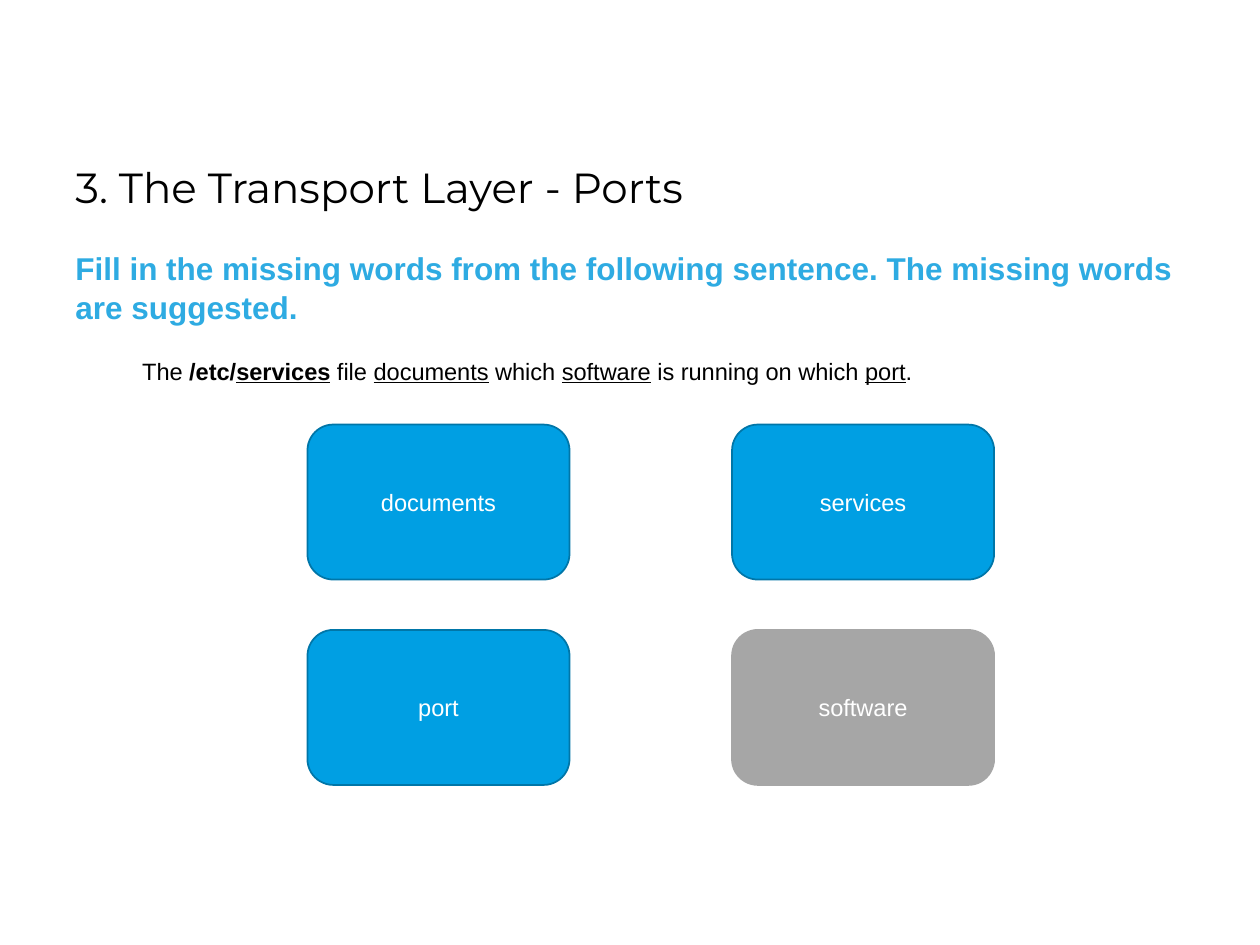
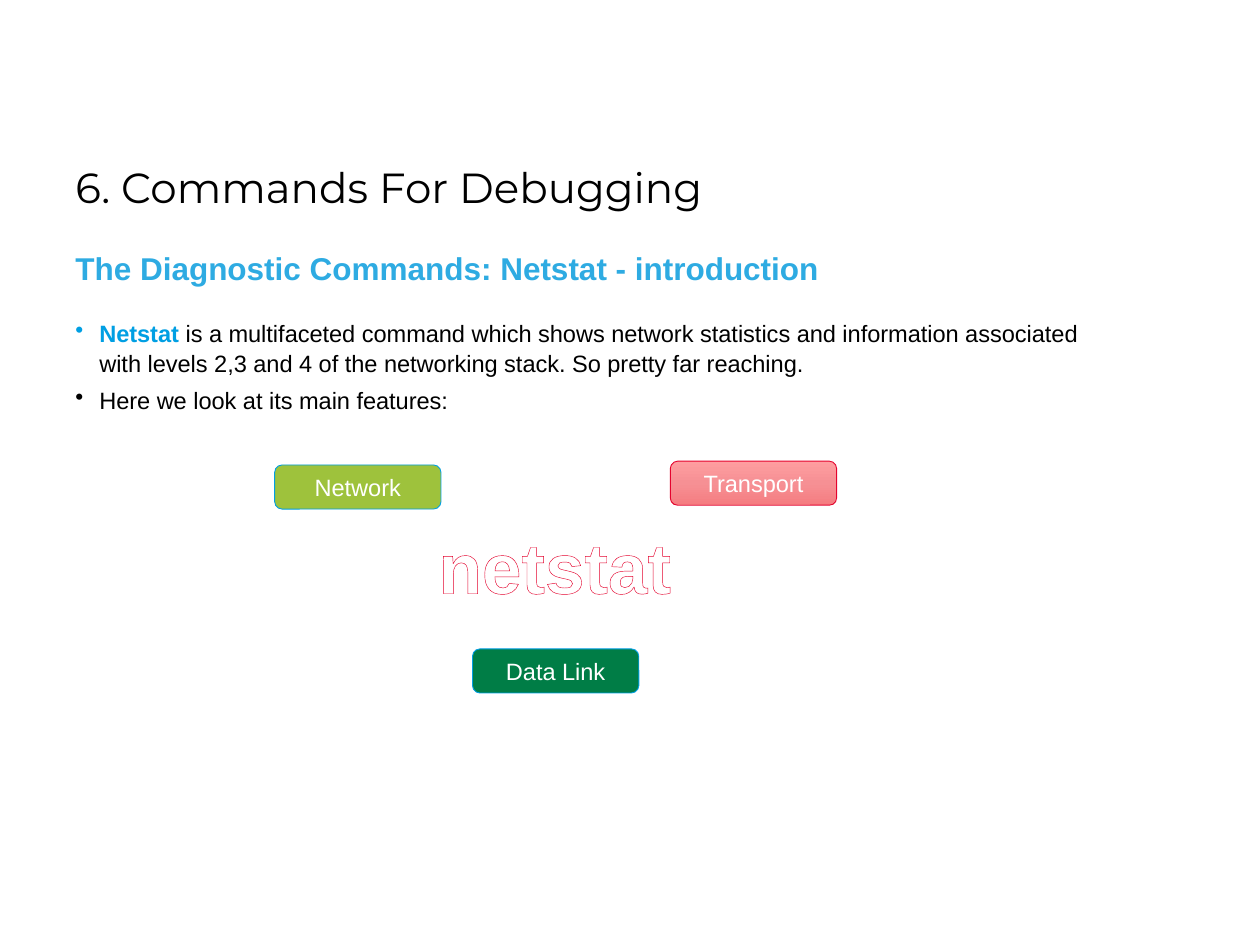
from copy import deepcopy
from dataclasses import dataclass

from lxml import etree
from pptx import Presentation
from pptx import util as u
from pptx.dml.color import RGBColor
from pptx.enum import shapes, text
from pptx.oxml.ns import qn

# Slide grid: 100 columns by 75 rows
WIDTH, HEIGHT = u.Inches(10), u.Inches(7.5)
COLUMN, ROW = WIDTH / 100, HEIGHT / 75

COLORS = {
    "ink": "000000", "white": "FFFFFF", "heading": "2EABE2",
    "blue": "009FE3", "blue edge": "0076A8", "grey": "A6A6A6",
    "lime": "9EC23C", "green": "007D46", "red": "E4032E",
    "rose light": "FE9DA0", "rose": "F69094", "rose dark": "F57C80",
}
BODY_FONT, TITLE_FONT = "Arial", "Montserrat"
BODY_SIZE = 13.5
TIGHT_INSETS = (0.7, 0.4)


@dataclass(frozen=True)
class Area:
    left: float
    top: float
    width: float
    height: float

    def lengths(self) -> tuple[int, ...]:
        return (round(self.left * COLUMN), round(self.top * ROW),
                round(self.width * COLUMN), round(self.height * ROW))


@dataclass(frozen=True)
class Run:
    words: str
    bold: bool = False
    underline: bool = False
    color: str = "ink"


@dataclass(frozen=True)
class Tile:
    label: str
    area: Area
    fills: tuple[str, ...]
    edge: str
    edge_width: float = 1
    insets: tuple[float, float] = (1, 0.5)


TITLE_AREA = Area(5, 12.3, 90.2, 5)


def rgb(name: str) -> RGBColor:
    return RGBColor.from_string(COLORS[name])


def add_bullet(paragraph) -> None:
    properties = paragraph._p.get_or_add_pPr()
    indent = u.Inches(0.19)
    properties.set("marL", str(indent))
    properties.set("indent", str(-indent))
    etree.SubElement(properties, qn("a:buChar"), char="•")


def outline_text(run, color: str, width: float) -> None:
    line = etree.Element(qn("a:ln"), w=str(u.Pt(width)))
    fill = etree.SubElement(line, qn("a:solidFill"))
    etree.SubElement(fill, qn("a:srgbClr"), val=COLORS[color])
    run._r.get_or_add_rPr().insert(0, line)


def write(shape, paragraphs: list[list[Run]], *, size: float = BODY_SIZE,
          font: str = BODY_FONT, centred: bool = False, middle: bool = False,
          wrap: bool = True, bullets: bool = False, spacing: float = 1,
          space_after: float = 0, insets: tuple[float, float] = (1, 0.5)) -> None:
    frame = shape.text_frame
    frame.word_wrap = wrap
    frame.vertical_anchor = text.MSO_ANCHOR.MIDDLE if middle else text.MSO_ANCHOR.TOP
    frame.margin_left = frame.margin_right = round(insets[0] * COLUMN)
    frame.margin_top = frame.margin_bottom = round(insets[1] * ROW)
    for index, runs in enumerate(paragraphs):
        paragraph = frame.add_paragraph() if index else frame.paragraphs[0]
        paragraph.alignment = text.PP_ALIGN.CENTER if centred else text.PP_ALIGN.LEFT
        paragraph.line_spacing = spacing
        paragraph.space_after = u.Pt(space_after)
        if bullets:
            add_bullet(paragraph)
        for item in runs:
            run = paragraph.add_run()
            run.text = item.words
            run.font.name, run.font.size = font, u.Pt(size)
            run.font.bold = item.bold
            run.font.underline = item.underline
            run.font.color.rgb = rgb(item.color)


def add_text(slide, area: Area, paragraphs: list[list[Run]], **style):
    box = slide.shapes.add_textbox(*area.lengths())
    write(box, paragraphs, **style)
    return box


def add_body(slide, area: Area, paragraphs: list[list[Run]], **style) -> None:
    add_text(slide, area, paragraphs, spacing=1.05, space_after=4.5, **style)


def fill_shape(shape, fills: tuple[str, ...]) -> None:
    """One colour fills solidly; three make a gradient from top to bottom."""
    if len(fills) == 1:
        shape.fill.solid()
        shape.fill.fore_color.rgb = rgb(fills[0])
        return
    shape.fill.gradient()
    shape.fill.gradient_angle = 270
    first_stop = shape._element.spPr.find(".//" + qn("a:gs"))
    first_stop.addnext(deepcopy(first_stop))
    for index, (stop, color) in enumerate(zip(shape.fill.gradient_stops, fills)):
        stop.color.rgb = rgb(color)
        stop.position = index / (len(fills) - 1)


def add_tile(slide, tile: Tile) -> None:
    shape = slide.shapes.add_shape(
        shapes.MSO_SHAPE.ROUNDED_RECTANGLE, *tile.area.lengths())
    shape.shadow.inherit = False
    fill_shape(shape, tile.fills)
    shape.line.color.rgb = rgb(tile.edge)
    shape.line.width = u.Pt(tile.edge_width)
    write(shape, [[Run(tile.label, color="white")]], centred=True, middle=True,
          insets=tile.insets)


def add_headed_slide(presentation, title: str, heading: str, heading_rows: float):
    slide = presentation.slides.add_slide(presentation.slide_layouts[6])
    add_text(slide, TITLE_AREA, [[Run(title)]], size=24, font=TITLE_FONT)
    add_body(slide, Area(5, 19.1, 90.2, heading_rows),
             [[Run(heading, bold=True, color="heading")]], size=18)
    return slide


def build_ports(presentation) -> None:
    slide = add_headed_slide(
        presentation, "3. The Transport Layer - Ports",
        "Fill in the missing words from the following sentence. "
        "The missing words are suggested.", 10.8)
    add_body(slide, Area(10.3, 27.7, 84.9, 6.3), [[
        Run("The "), Run("/etc/", bold=True),
        Run("services", bold=True, underline=True), Run(" file "),
        Run("documents", underline=True), Run(" which "),
        Run("software", underline=True), Run(" is running on which "),
        Run("port", underline=True), Run("."),
    ]])
    # Word cards, two by two
    words = (("documents", "services"), ("port", "software"))
    for row, pair in enumerate(words):
        for column, word in enumerate(pair):
            unused = word == "software"
            area = Area(24.4 + 33.7 * column, 33.7 + 16.3 * row, 20.8, 12.3)
            add_tile(slide, Tile(word, area, ("grey" if unused else "blue",),
                                 "grey" if unused else "blue edge"))


def build_netstat(presentation) -> None:
    slide = add_headed_slide(
        presentation, "6. Commands For Debugging",
        "The Diagnostic Commands: Netstat - introduction", 4)
    add_body(slide, Area(5, 24.7, 85, 8.5), [
        [Run("Netstat", bold=True, color="blue"),
         Run(" is a multifaceted command which shows network statistics and "
             "information associated with levels 2,3 and 4 of the networking "
             "stack. So pretty far reaching.")],
        [Run("Here we look at its main features:")],
    ], bullets=True)
    # Network layers around the command
    layers = (
        ("Transport", 53.2, 36.6, ("rose light", "rose", "rose dark"), "red"),
        ("Network", 21.8, 36.9, ("lime",), "blue"),
        ("Data Link", 37.5, 51.5, ("green",), "blue"),
    )
    for label, left, top, fills, edge in layers:
        add_tile(slide, Tile(label, Area(left, top, 13.2, 3.5), fills, edge,
                             0.5, TIGHT_INSETS))
    command = add_text(slide, Area(34, 41.1, 20.1, 7.6),
                       [[Run("netstat", bold=True, color="white")]], size=40.5,
                       centred=True, wrap=False, insets=TIGHT_INSETS)
    outline_text(command.text_frame.paragraphs[0].runs[0], "red", 0.52)


def main() -> None:
    presentation = Presentation()
    presentation.slide_width, presentation.slide_height = WIDTH, HEIGHT
    build_ports(presentation)
    build_netstat(presentation)
    presentation.save("out.pptx")


if __name__ == "__main__":
    main()
